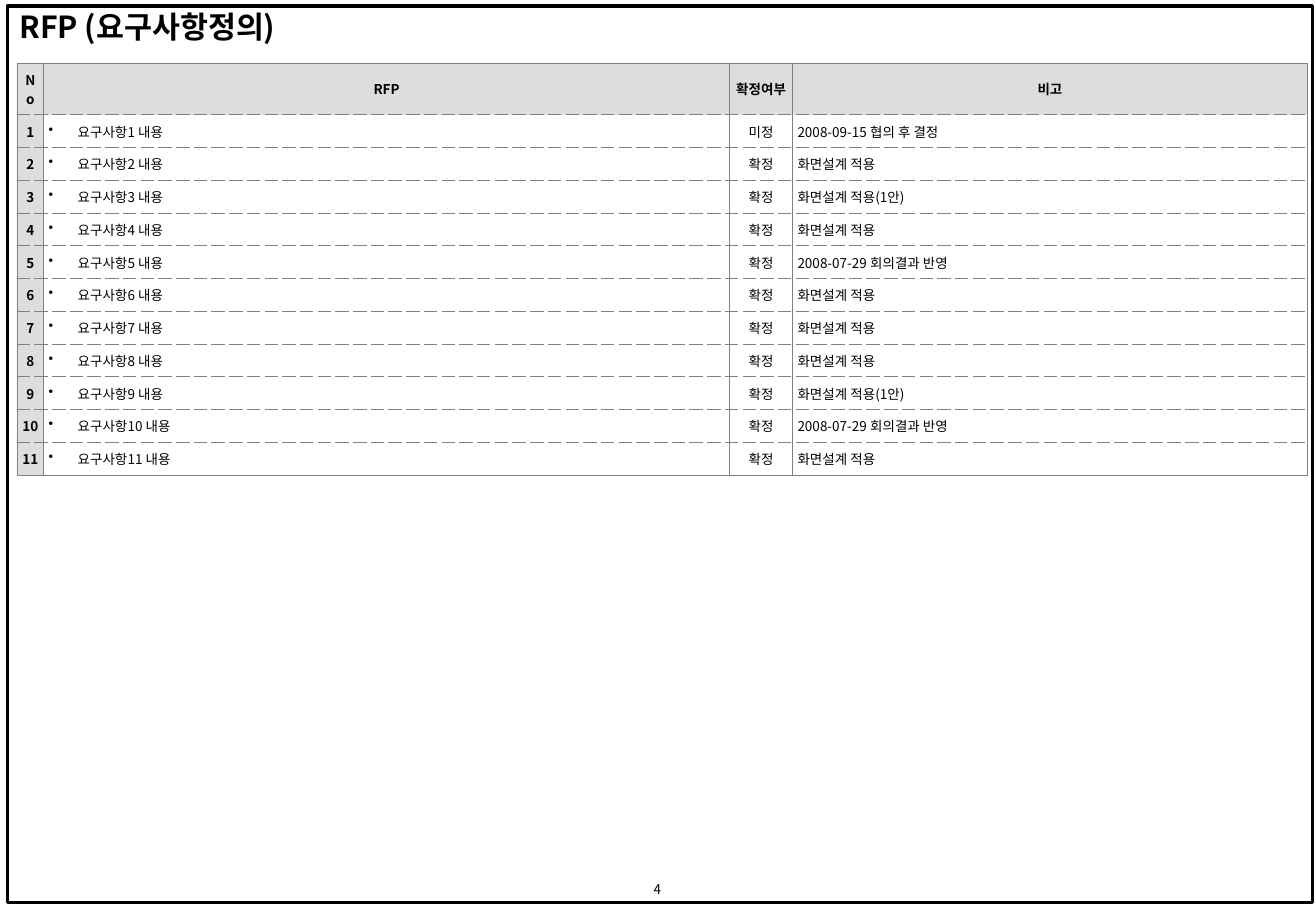
from pptx import Presentation
from pptx.dml.color import RGBColor
from pptx.enum.text import PP_ALIGN, MSO_ANCHOR, MSO_AUTO_SIZE
from pptx.oxml.ns import qn
from pptx.util import Inches, Pt
from lxml.etree import SubElement, Element


def color(code):
    return RGBColor.from_string(code)


class Sheet:
    font = "Noto Sans CJK KR"
    ink = "000000"
    gray = "DDDDDD"
    rule = "808080"
    small = 8

    def __init__(self, deck):
        self.slide = deck.slides.add_slide(deck.slide_layouts[5])

    def fill_text(self, frame, text, size, bold=False, align=PP_ALIGN.LEFT):
        frame.text = text
        para = frame.paragraphs[0]
        para.alignment = align
        for run in para.runs:
            run.font.size = Pt(size)
            run.font.bold = bold
            run.font.color.rgb = color(self.ink)
            run.font.name = self.font
            SubElement(run._r.get_or_add_rPr(), qn("a:ea"), typeface=self.font)
        return para

    def title(self, text, left, top, width, height):
        box = self.slide.shapes.title
        box.left, box.top = Inches(left), Inches(top)
        box.width, box.height = Inches(width), Inches(height)
        box.line.color.rgb = color(self.ink)
        box.line.width = Pt(2)
        frame = box.text_frame
        frame.auto_size = MSO_AUTO_SIZE.NONE
        frame.vertical_anchor = MSO_ANCHOR.TOP
        para = self.fill_text(frame, text, 18, True)
        para.line_spacing = 0.9

    def label(self, text, left, top, width, height):
        box = self.slide.shapes.add_textbox(
            Inches(left), Inches(top), Inches(width), Inches(height))
        frame = box.text_frame
        frame.word_wrap = True
        frame.vertical_anchor = MSO_ANCHOR.MIDDLE
        self.fill_text(frame, text, self.small, align=PP_ALIGN.CENTER)

    def bullet(self, para):
        props = para._p.get_or_add_pPr()
        props.set("marL", str(Inches(0.24)))
        props.set("indent", str(-Inches(0.24)))
        tint = SubElement(props, qn("a:buClr"))
        SubElement(tint, qn("a:srgbClr"), val=self.ink)
        SubElement(props, qn("a:buChar"), char="•")

    def border(self, cell, first, last):
        props = cell._tc.get_or_add_tcPr()
        dashes = {"L": "solid", "R": "solid",
                  "T": "solid" if first else "dash",
                  "B": "solid" if last else "dash"}
        for index, (side, dash) in enumerate(dashes.items()):
            line = Element(qn("a:ln" + side), w=str(Pt(0.45)))
            fill = SubElement(line, qn("a:solidFill"))
            SubElement(fill, qn("a:srgbClr"), val=self.rule)
            SubElement(line, qn("a:prstDash"), val=dash)
            props.insert(index, line)

    def table(self, rows, left, top, widths, head, step):
        count = len(rows)
        tall = head + step * (count - 1)
        grid = self.slide.shapes.add_table(
            count, len(widths), Inches(left), Inches(top),
            Inches(sum(widths)), Inches(tall)).table
        grid.first_row = grid.horz_banding = False
        for col, width in zip(grid.columns, widths):
            col.width = Inches(width)
        for r, texts in enumerate(rows):
            grid.rows[r].height = Inches(step if r else head)
            for c, text in enumerate(texts):
                cell = grid.cell(r, c)
                cell.margin_left = cell.margin_right = Inches(0.04)
                cell.margin_top = cell.margin_bottom = Inches(0.05)
                cell.vertical_anchor = MSO_ANCHOR.MIDDLE
                strong = r == 0 or c == 0
                if strong:
                    cell.fill.solid()
                    cell.fill.fore_color.rgb = color(self.gray)
                else:
                    cell.fill.background()
                middle = strong or c == 2
                align = PP_ALIGN.CENTER if middle else PP_ALIGN.LEFT
                para = self.fill_text(
                    cell.text_frame, text, self.small, strong, align)
                if r and c == 1:
                    self.bullet(para)
                para.space_after = Pt(2)
                self.border(cell, r == 0, r == count - 1)


def main():
    deck = Presentation()
    deck.slide_width, deck.slide_height = Inches(10.84), Inches(7.5)
    sheet = Sheet(deck)
    sheet.title("RFP (요구사항정의)", 0.06, 0.05, 10.75, 7.38)

    done = "화면설계 적용"
    plan = "화면설계 적용(1안)"
    met = "2008-07-29 회의결과 반영"
    notes = ["2008-09-15 협의 후 결정", done, plan, done, met, done,
             done, done, plan, met, done]
    rows = [["No", "RFP", "확정여부", "비고"]]
    for num, note in enumerate(notes, 1):
        state = "미정" if num == 1 else "확정"
        rows.append([str(num), f"요구사항{num} 내용", state, note])
    sheet.table(rows, 0.14, 0.52, [0.22, 5.65, 0.52, 4.24], 0.35, 0.27)
    sheet.label("4", 5.23, 7.19, 0.37, 0.26)
    deck.save("out.pptx")


if __name__ == "__main__":
    main()
